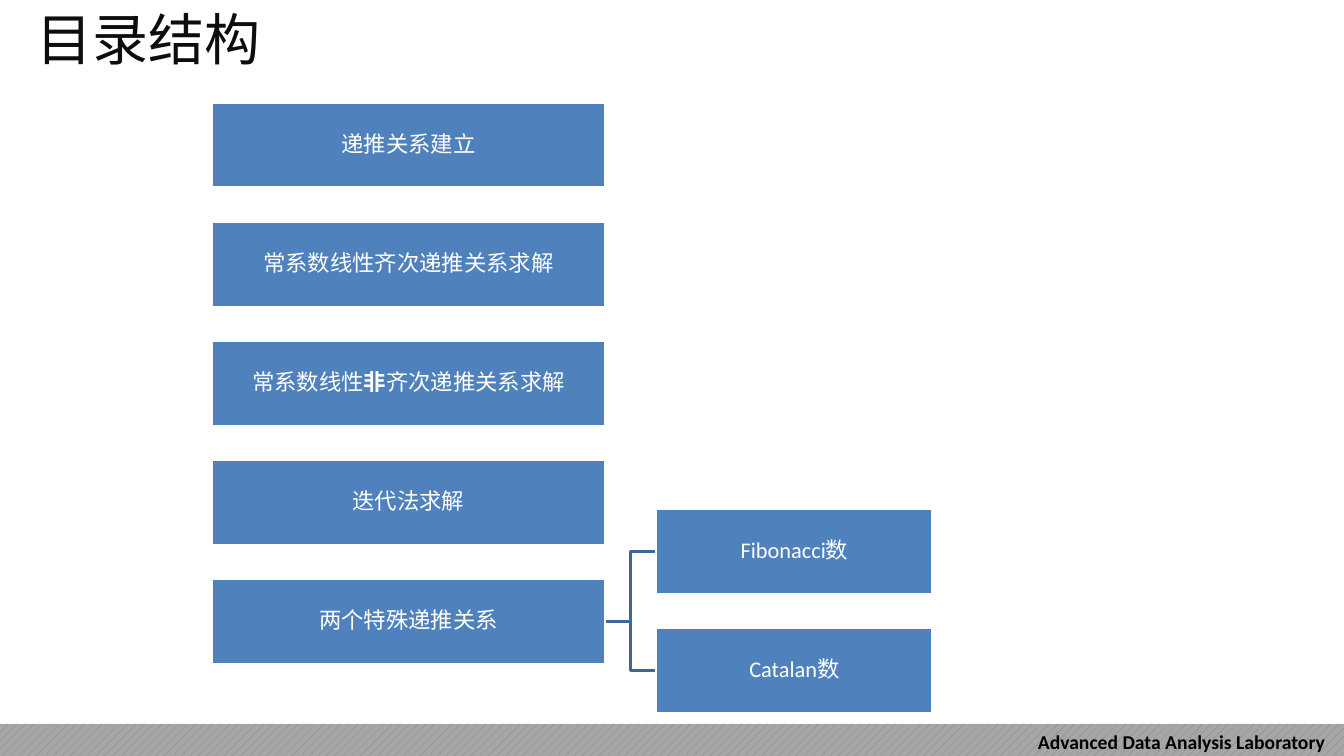
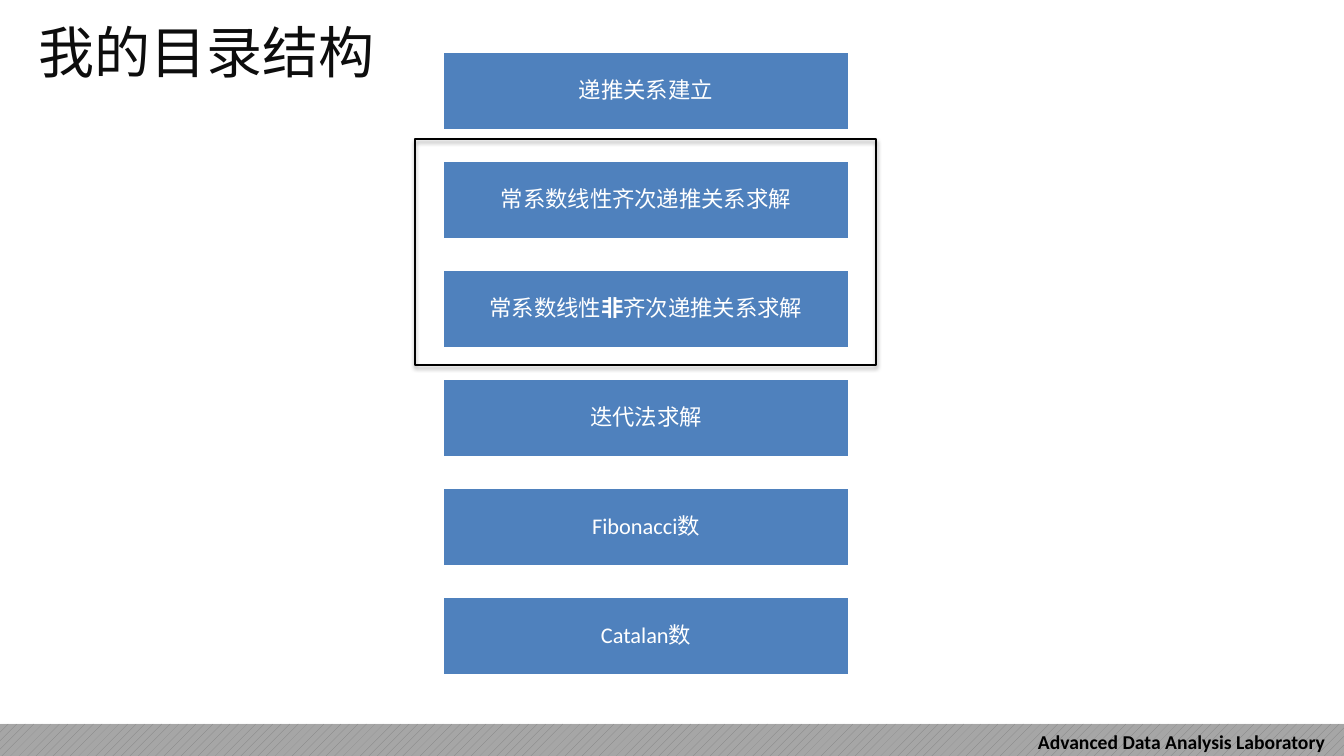
from lxml import etree
from pptx import Presentation
from pptx.dml.color import RGBColor
from pptx.enum.dml import MSO_PATTERN
from pptx.enum.shapes import MSO_CONNECTOR, MSO_SHAPE
from pptx.enum.text import MSO_ANCHOR, PP_ALIGN
from pptx.oxml.ns import qn
from pptx.util import Emu, Pt

RECTANGLE = MSO_SHAPE.RECTANGLE
ELBOW = MSO_CONNECTOR.ELBOW
DOTS = MSO_PATTERN.PERCENT_20
MIDDLE = MSO_ANCHOR.MIDDLE
CENTER = PP_ALIGN.CENTER
LEFT_SIDE, RIGHT_SIDE = 1, 3

PAGE_WIDTH, PAGE_HEIGHT = 1344, 756
EMU_PER_PX = 914400 / 100.8
FONT = "Calibri"
COLORS = {
    "topic": "4F81BD",
    "branch": "3F6797",
    "white": "FFFFFF",
    "black": "000000",
    "title": "0D0D0D",
    "band_dots": "808080",
    "band_base": "A6A6A6",
}

# Each topic is a tuple of text spans; every second span is bold.
MAIN_TOPICS = [
    ("递推关系建立",),
    ("常系数线性齐次递推关系求解",),
    ("常系数线性", "非", "齐次递推关系求解"),
    ("迭代法求解",),
]
SPECIAL_PARENT = ("两个特殊递推关系",)
SPECIAL_TOPICS = [("Fibonacci数",), ("Catalan数",)]


def px(length):
    return Emu(round(length * EMU_PER_PX))


def color(name):
    return RGBColor.from_string(COLORS[name])


def style_span(span, size, color_name, bold=False):
    span.font.name = FONT
    span.font.size = Pt(size)
    span.font.bold = bold
    span.font.color.rgb = color(color_name)


def add_rectangle(page, box):
    shape = page.shapes.add_shape(RECTANGLE, *map(px, box))
    shape.shadow.inherit = False
    return shape


def add_shadow(shape):
    """Soft shadow falling straight down."""
    effects = shape._element.spPr.find(qn("a:effectLst"))
    shadow = etree.SubElement(effects, qn("a:outerShdw"), blurRad="39370",
                              dist="22860", dir="5400000", rotWithShape="0")
    tint = etree.SubElement(shadow, qn("a:srgbClr"), val=COLORS["black"])
    etree.SubElement(tint, qn("a:alpha"), val="35000")


def add_label(page, box, text, size, color_name, bold=False):
    label = page.shapes.add_textbox(*map(px, box))
    frame = label.text_frame
    frame.word_wrap = True
    frame.text = text
    style_span(frame.paragraphs[0].runs[0], size, color_name, bold)
    return frame


def add_footer(page, box):
    left, top, width, height = box
    band = add_rectangle(page, box)
    band.fill.patterned()
    band.fill.pattern = DOTS
    band.fill.fore_color.rgb = color("band_dots")
    band.fill.back_color.rgb = color("band_base")
    band.line.fill.background()
    add_shadow(band)
    label_width = 314
    add_label(page, (left + width - label_width - 2, top + 1, label_width, 34),
              "Advanced Data Analysis Laboratory", 14, "black", bold=True)


def add_title(page, box, text):
    frame = add_label(page, box, text, 40, "title")
    frame.vertical_anchor = MIDDLE
    frame.paragraphs[0].space_before = Pt(8)


def add_topic(page, box, spans):
    topic = add_rectangle(page, box)
    topic.fill.solid()
    topic.fill.fore_color.rgb = color("topic")
    topic.line.color.rgb = color("white")
    topic.line.width = Pt(2)
    frame = topic.text_frame
    frame.word_wrap = True
    frame.vertical_anchor = MIDDLE
    frame.margin_left = frame.margin_right = px(1)
    frame.margin_top = frame.margin_bottom = px(1)
    para = frame.paragraphs[0]
    para.alignment = CENTER
    para.line_spacing = 0.9
    para.space_after = Pt(5.6)
    for index, text in enumerate(spans):
        span = para.add_run()
        span.text = text
        style_span(span, 16, "white", bold=index % 2 == 1)
    return topic


def add_topic_column(page, box, topics, pitch):
    """Stack topics downwards; box is the place of the first one."""
    left, top, width, height = box
    return [add_topic(page, (left, top + row * pitch, width, height), spans)
            for row, spans in enumerate(topics)]


def add_branch(page, parent, child):
    branch = page.shapes.add_connector(
        ELBOW, parent.left + parent.width, parent.top + parent.height // 2,
        child.left, child.top + child.height // 2)
    branch.begin_connect(parent, RIGHT_SIDE)
    branch.end_connect(child, LEFT_SIDE)
    branch.line.color.rgb = color("branch")
    branch.line.width = Pt(2)
    etree.SubElement(branch._element.spPr, qn("a:effectLst"))
    # Lines lie behind the white borders of the topics
    parent._element.addprevious(branch._element)


def add_highlight(page, box):
    highlight = add_rectangle(page, box)
    highlight.fill.background()
    highlight.line.color.rgb = color("black")
    highlight.line.width = Pt(1.5)
    add_shadow(highlight)


def add_page(deck, title, title_box):
    page = deck.slides.add_slide(deck.slide_layouts[6])
    add_footer(page, (0, 724, PAGE_WIDTH, 36))
    add_title(page, title_box, title)
    return page


def build_tree_page(deck):
    page = add_page(deck, "目录结构", (27, 6, 1138, 64))
    pitch = 119
    column = add_topic_column(page, (212, 103, 393, 85),
                              MAIN_TOPICS + [SPECIAL_PARENT], pitch)
    children = add_topic_column(page, (656, 509, 277, 85),
                                SPECIAL_TOPICS, pitch)
    for child in children:
        add_branch(page, column[-1], child)


def build_list_page(deck):
    page = add_page(deck, "我的目录结构", (29, 19, 1138, 64))
    add_topic_column(page, (443, 52, 406, 78),
                     MAIN_TOPICS + SPECIAL_TOPICS, pitch=109)
    add_highlight(page, (415, 139, 461, 226))


def main():
    deck = Presentation()
    deck.slide_width, deck.slide_height = px(PAGE_WIDTH), px(PAGE_HEIGHT)
    build_tree_page(deck)
    build_list_page(deck)
    deck.save("out.pptx")


if __name__ == "__main__":
    main()
